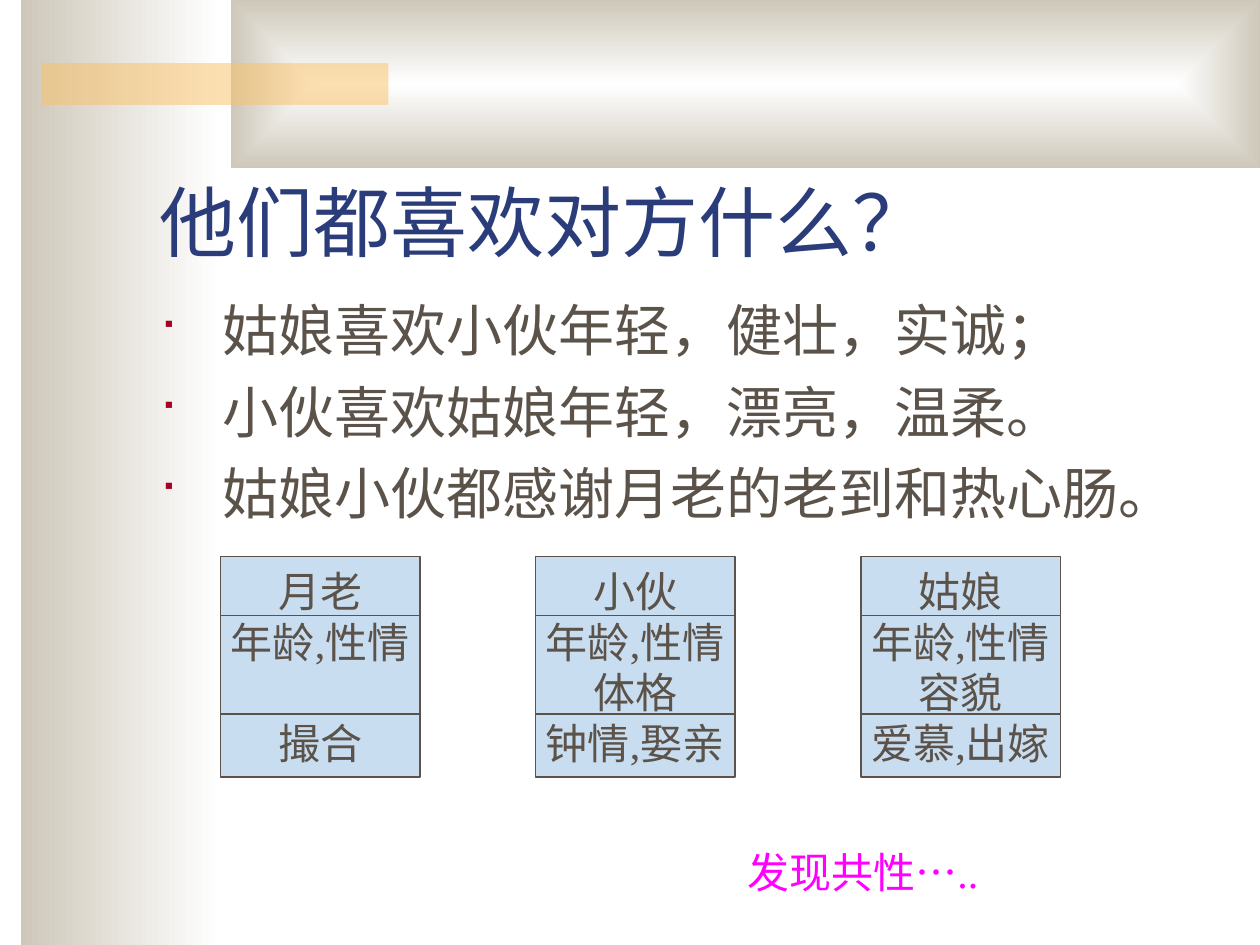
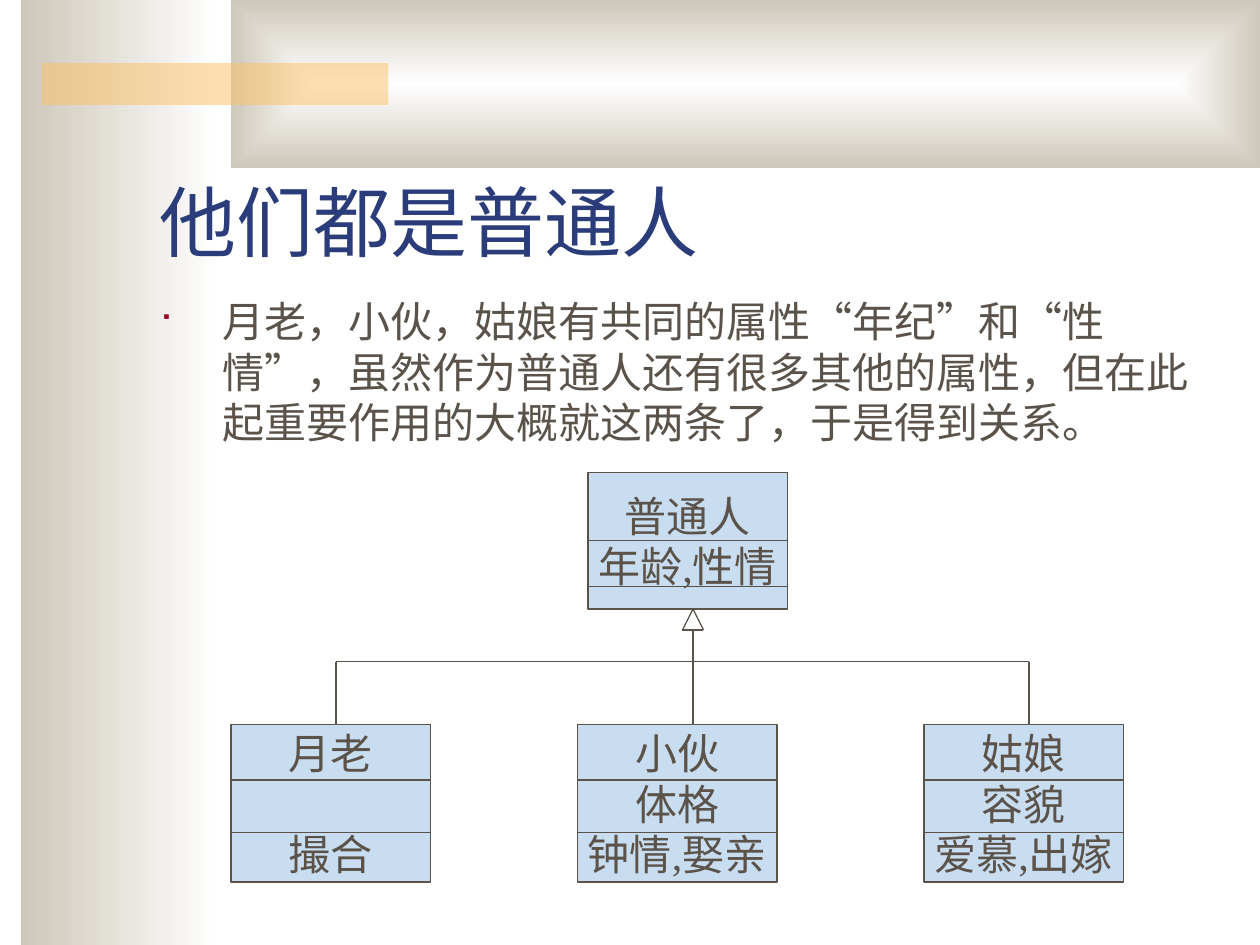
"""Build two slides on finding what the people in a story share."""
from dataclasses import dataclass

from lxml import etree
from pptx import Presentation
from pptx.dml.color import RGBColor
from pptx.enum.shapes import MSO_CONNECTOR, MSO_SHAPE
from pptx.enum.text import MSO_ANCHOR, MSO_AUTO_SIZE, PP_ALIGN
from pptx.oxml.ns import qn
from pptx.util import Pt

RECT = MSO_SHAPE.RECTANGLE
STRAIGHT = MSO_CONNECTOR.STRAIGHT
LEFT, CENTER = PP_ALIGN.LEFT, PP_ALIGN.CENTER
TOP, MIDDLE, BOTTOM = MSO_ANCHOR.TOP, MSO_ANCHOR.MIDDLE, MSO_ANCHOR.BOTTOM
FIXED = MSO_AUTO_SIZE.NONE


@dataclass(frozen=True)
class Theme:
    """Hold the colours, type sizes and line width."""
    font: str = "Times New Roman"
    ink: str = "5B5249"
    navy: str = "2A3D7A"
    red: str = "A50021"
    pink: str = "FF00FF"
    sky: str = "C9DDF1"
    sand: str = "CEC8BA"
    gold: str = "FAC164"
    white: str = "FFFFFF"
    title: int = 44
    large: int = 32
    small: int = 24
    line: float = 0.75


THEME = Theme()
BOX_W = 114
BLANK = 29


def rgb(code):
    """Return a colour from its hex code."""
    return RGBColor.from_string(code)


def child(parent, tag, **attrs):
    """Add an XML child with attributes and return it."""
    return etree.SubElement(parent, qn(tag), attrs)


def bullet(para):
    """Give a paragraph a hanging red square."""
    props = para._p.get_or_add_pPr()
    props.set("marL", str(Pt(36)))
    props.set("indent", str(-Pt(36)))
    child(child(props, "a:buClr"), "a:srgbClr", val=THEME.red)
    child(props, "a:buSzPct", val="75000")
    child(props, "a:buFont", typeface="Wingdings", charset="2")
    child(props, "a:buChar", char="■")


def write(shape, lines, size=THEME.small, color=THEME.ink, align=LEFT,
          anchor=TOP, wrap=True, marked=False, gaps=None):
    """Write lines into a shape; gaps maps a line index to space before."""
    frame = shape.text_frame
    frame.auto_size = FIXED
    frame.word_wrap = wrap
    frame.vertical_anchor = anchor
    for i, line in enumerate(lines):
        para = frame.paragraphs[0] if i == 0 else frame.add_paragraph()
        para._p.get_or_add_pPr().set("hangingPunct", "0")
        if marked:
            bullet(para)
        para.alignment = align
        para.space_before = Pt((gaps or {}).get(i, 0))
        run = para.add_run()
        run.text = line
        run.font.size = Pt(size)
        run.font.name = THEME.font
        run.font.color.rgb = rgb(color)


def label(page, area, lines, **style):
    """Add a text box."""
    write(page.shapes.add_textbox(*map(Pt, area)), lines, **style)


def block(page, area, fill=None, edge=None):
    """Add a flat rectangle with optional fill and outline."""
    shape = page.shapes.add_shape(RECT, *map(Pt, area))
    shape.shadow.inherit = False
    if fill:
        shape.fill.solid()
        shape.fill.fore_color.rgb = rgb(fill)
    if edge:
        shape.line.color.rgb = rgb(edge)
        shape.line.width = Pt(THEME.line)
    else:
        shape.line.fill.background()
    return shape


def rule(page, x1, y1, x2, y2):
    """Draw a thin straight line."""
    line = page.shapes.add_connector(STRAIGHT, *map(Pt, (x1, y1, x2, y2)))
    line.line.color.rgb = rgb(THEME.ink)
    line.line.width = Pt(THEME.line)
    child(line.element.spPr, "a:effectLst")


def fade(shape, inner=False):
    """Fade a shape from white to sand, leftward or from its middle."""
    shape.fill.gradient()
    for stop, color, place in zip(shape.fill.gradient_stops,
                                  (THEME.white, THEME.sand), (0, 1)):
        stop.color.rgb = rgb(color)
        stop.position = place
    shape.fill.gradient_angle = 180
    if inner:
        slant = shape.element.xpath(".//a:gradFill/a:lin")[0]
        ring = etree.Element(qn("a:path"), {"path": "rect"})
        child(ring, "a:fillToRect", l="50000", t="50000", r="50000", b="50000")
        slant.getparent().replace(slant, ring)


def dress(page):
    """Draw the bands and move them to the layout that all slides share."""
    side = block(page, (12, 0, 114, 540))
    fade(side)
    head = block(page, (132, 0, 588, 96))
    fade(head, inner=True)
    strip = block(page, (24, 36, 198, 24), THEME.gold)
    tint = strip.element.xpath("./p:spPr/a:solidFill/a:srgbClr")[0]
    child(tint, "a:alpha", val="50000")
    tree = page.slide_layout.shapes.element
    for i, band in enumerate((side, head, strip)):
        band.element.xpath("./p:nvSpPr/p:cNvPr")[0].set("id", str(90 + i))
        tree.insert(2 + i, band.element)


def start(deck, title):
    """Add a slide with its title in place."""
    page = deck.slides.add_slide(deck.slide_layouts[5])
    head = page.shapes.title
    head.left, head.top, head.width, head.height = map(Pt, (84, 66, 612, 90))
    write(head, [title], size=THEME.title, color=THEME.navy, anchor=BOTTOM)
    return page


def points(page, lines, size, gap=0):
    """Add the bulleted body text."""
    label(page, (84, 165.6, 612, 324), lines, size=size, marked=True,
          gaps={i: gap for i in range(1, len(lines))})


def card(page, x, y, height, cuts, lines, gaps=None):
    """Draw a class box, cut by lines at the given heights."""
    box = block(page, (x, y, BOX_W, height), THEME.sky, THEME.ink)
    write(box, lines, align=CENTER, anchor=MIDDLE, wrap=False, gaps=gaps)
    for cut in cuts:
        rule(page, x, cut, x + BOX_W, cut)


def arrow(page, x, tip, base, low):
    """Draw an upward arrow with a hollow head."""
    rule(page, x, base, x, low)
    for side in (x - 6, x + 6):
        rule(page, x, tip, side, base)
    rule(page, x - 6, base, x + 6, base)


def likes(deck):
    """Build the slide on what each one likes."""
    page = start(deck, "他们都喜欢对方什么？")
    dress(page)
    points(page, ["姑娘喜欢小伙年轻，健壮，实诚；",
                  "小伙喜欢姑娘年轻，漂亮，温柔。",
                  "姑娘小伙都感谢月老的老到和热心肠。"], THEME.large, gap=8)
    shared = "年龄,性情"
    for x, lines, gaps in (
            (126, ["月老", shared, "撮合"], {2: BLANK}),
            (306, ["小伙", shared, "体格", "钟情,娶亲"], None),
            (492, ["姑娘", shared, "容貌", "爱慕,出嫁"], None)):
        card(page, x, 318, 126, (351.9, 408), lines, gaps)
    label(page, (420, 480, 240, 36), ["发现共性….."], color=THEME.pink)


def people(deck):
    """Build the slide on the common parent class."""
    page = start(deck, "他们都是普通人")
    points(page, ["月老，小伙，姑娘有共同的属性“年纪”和“性情”，"
                  "虽然作为普通人还有很多其他的属性，"
                  "但在此起重要作用的大概就这两条了，于是得到关系。"],
           THEME.small)
    card(page, 336, 270, 78, (309, 335), ["普通人", "年龄,性情"])
    kids = ((["月老", "撮合"], {1: BLANK}),
            (["小伙", "体格", "钟情,娶亲"], None),
            (["姑娘", "容貌", "爱慕,出嫁"], None))
    for i, (lines, gaps) in enumerate(kids):
        card(page, 132 + 198 * i, 414, 90, (445.7, 475.9), lines, gaps)
    bus, low, left, stem, right = 378, 414, 192, 396, 588
    arrow(page, stem, 348, 360, low)
    rule(page, left, bus, right, bus)
    for x in (left, right):
        rule(page, x, bus, x, low)


def main():
    """Build and save the deck."""
    deck = Presentation()
    deck.slide_width, deck.slide_height = Pt(720), Pt(540)
    likes(deck)
    people(deck)
    deck.save("out.pptx")


if __name__ == "__main__":
    main()
